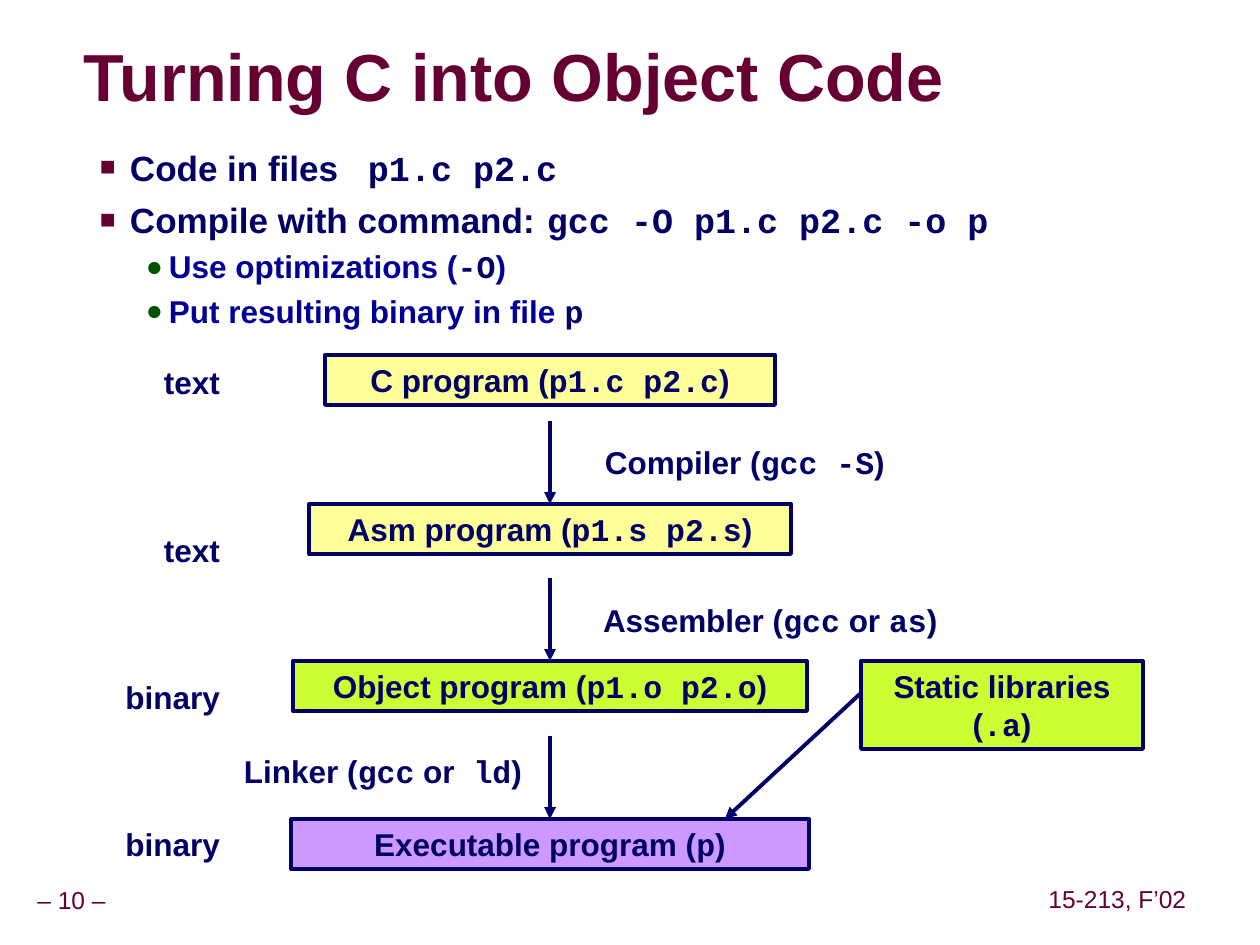
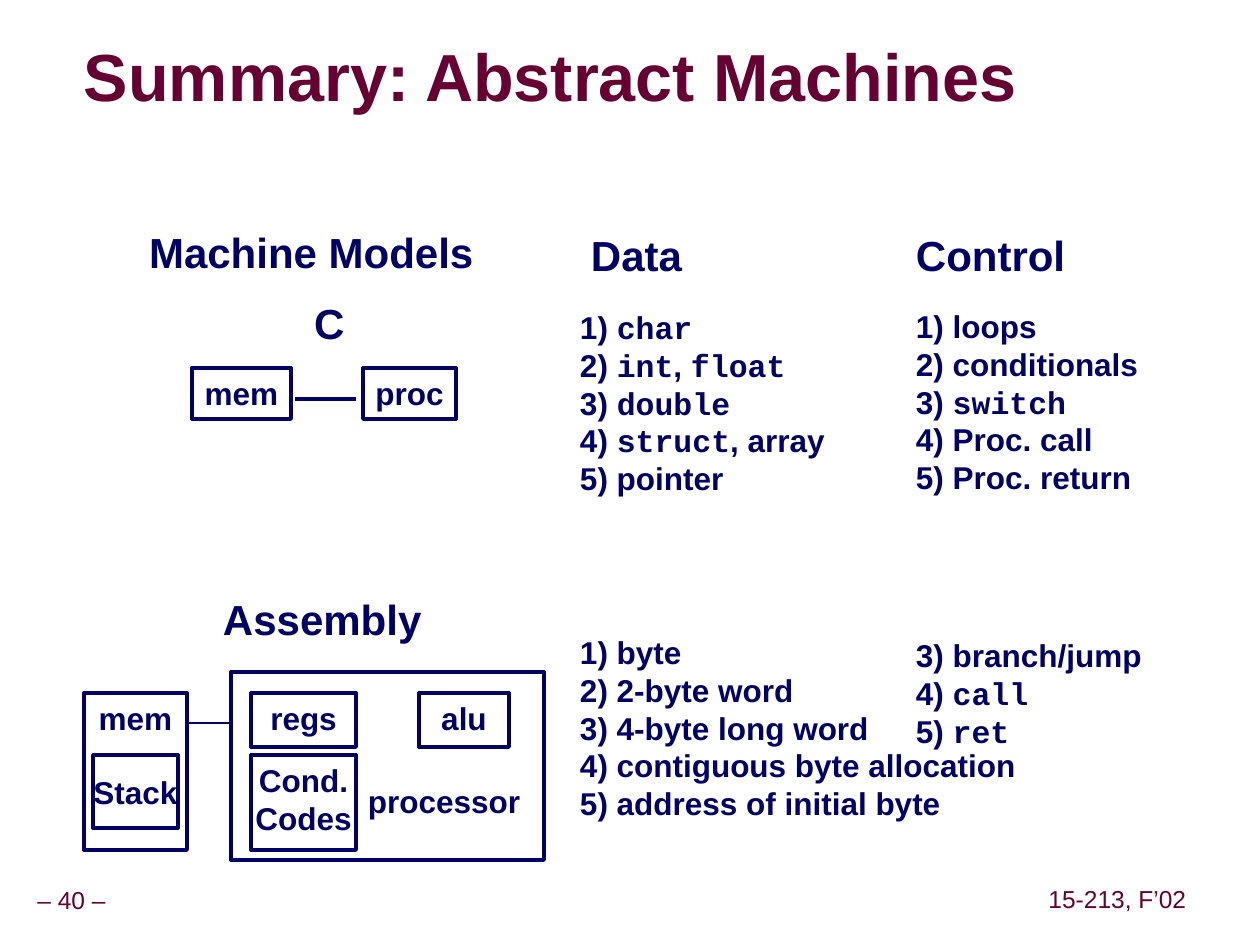
import pptx
import pptx.dml.color
import pptx.enum.shapes
import pptx.enum.text
import pptx.oxml
import pptx.oxml.ns
import pptx.util
from lxml import etree

PX = 914400 / 126  # EMU in one px
COLORS = {
    "maroon": "660033", "navy": "000066", "blue": "000099", "green": "005400",
    "yellow": "FFFF99", "lime": "CCFF33", "violet": "CC99FF", "white": "FFFFFF",
}
SANS, MONO = "Arial", "Courier New"
ALIGN = pptx.enum.text.PP_ALIGN
ANCHOR = pptx.enum.text.MSO_ANCHOR
TITLE_ONLY, TITLE_AND_BODY = 5, 1

# Bullet levels: text format and marker
LEVELS = {
    1: dict(size=20, color="navy", before=6.2, spacing=1.0, left=77, hang=30,
            mark="■", mark_color="maroon", mark_size=75),
    2: dict(size=18, color="blue", before=2.2, spacing=1.07, left=116, hang=23,
            mark="●", mark_color="green", mark_size=90),
}
BODY_TABS = (315, 494)


def emu(px):
    return pptx.util.Emu(round(px * PX))


def rgb(name):
    return pptx.dml.color.RGBColor.from_string(COLORS[name])


def add_xml(parent, tag, **attributes):
    return etree.SubElement(parent, pptx.oxml.ns.qn(tag), attributes)


def write(paragraph, text, size=18, color="navy", bold=True, align=ALIGN.LEFT,
          spacing=1.0, before=0):
    """Fill a paragraph; parts between backticks are set as code."""
    paragraph.alignment = align
    paragraph.line_spacing = spacing
    paragraph.space_before = pptx.util.Pt(before)
    for index, part in enumerate(text.split("`")):
        if part:
            is_code = index % 2 == 1
            run = paragraph.add_run()
            run.text = part
            run.font.size = pptx.util.Pt(size)
            run.font.bold = bold
            run.font.color.rgb = rgb("navy" if is_code else color)
            run.font.name = MONO if is_code else SANS


class Deck:
    def __init__(self):
        self.presentation = pptx.Presentation()
        self.presentation.slide_width = emu(1260)
        self.presentation.slide_height = emu(945)
        self.slide = None

    def new_slide(self, layout, title, title_width, number):
        layouts = self.presentation.slide_layouts
        self.slide = self.presentation.slides.add_slide(layouts[layout])
        self.title(title, title_width)
        self.text(f"– {number} –", 0, 882, 143, 39, size=14, color="maroon",
                  bold=False, align=ALIGN.CENTER, spacing=0.9, anchor=ANCHOR.MIDDLE)
        self.text("15-213, F’02", 1042, 881, 151, 39, size=14, color="maroon",
                  bold=False, align=ALIGN.CENTER, spacing=0.9, anchor=ANCHOR.MIDDLE,
                  wrap=False)

    def place(self, shape, left, top, width, height):
        shape.left, shape.top = emu(left), emu(top)
        shape.width, shape.height = emu(width), emu(height)

    def frame(self, shape, inset_x=13, inset_y=6, anchor=ANCHOR.TOP, wrap=True):
        frame = shape.text_frame
        frame.auto_size = pptx.enum.text.MSO_AUTO_SIZE.NONE
        frame.word_wrap = wrap
        frame.vertical_anchor = anchor
        frame.margin_left = frame.margin_right = emu(inset_x)
        frame.margin_top = frame.margin_bottom = emu(inset_y)
        return frame

    def fill_frame(self, frame, text, **style):
        for index, line in enumerate(text.split("\n")):
            write(frame.add_paragraph() if index else frame.paragraphs[0], line, **style)

    def title(self, text, width):
        heading = self.slide.shapes.title
        self.place(heading, 84, 41, width, 79)
        frame = self.frame(heading, 0, 0, ANCHOR.MIDDLE)
        write(frame.paragraphs[0], text, size=38, color="maroon", spacing=0.87)
        # Soft grey text shadow, placed right after the text fill
        properties = frame.paragraphs[0].runs[0].font.fill
        run_format = frame.paragraphs[0].runs[0]._r.get_or_add_rPr()
        effects = etree.Element(pptx.oxml.ns.qn("a:effectLst"))
        shadow = add_xml(effects, "a:outerShdw", dist="38100", dir="2700000")
        add_xml(shadow, "a:srgbClr", val="969696")
        run_format.find(pptx.oxml.ns.qn("a:solidFill")).addnext(effects)

    def bullets(self, items, left, top, width, height):
        body = self.slide.placeholders[1]
        self.place(body, left, top, width, height)
        frame = self.frame(body)
        for index, (level, text) in enumerate(items):
            look = LEVELS[level]
            paragraph = frame.add_paragraph() if index else frame.paragraphs[0]
            paragraph.level = level
            write(paragraph, text, size=look["size"], color=look["color"],
                  spacing=look["spacing"], before=look["before"] if index else 0)
            layout = paragraph._p.get_or_add_pPr()
            layout.set("marL", str(emu(look["left"])))
            layout.set("indent", str(-emu(look["hang"])))
            mark_color = add_xml(layout, "a:buClr")
            add_xml(mark_color, "a:srgbClr", val=COLORS[look["mark_color"]])
            add_xml(layout, "a:buSzPct", val=str(look["mark_size"] * 1000))
            add_xml(layout, "a:buFont", typeface=SANS)
            add_xml(layout, "a:buChar", char=look["mark"])
            tabs = add_xml(layout, "a:tabLst")
            for tab in BODY_TABS:
                add_xml(tabs, "a:tab", pos=str(emu(tab)), algn="l")

    def text(self, text, left, top, width, height, anchor=ANCHOR.TOP, wrap=True, **style):
        label = self.slide.shapes.add_textbox(emu(left), emu(top), emu(width), emu(height))
        self.fill_frame(self.frame(label, anchor=anchor, wrap=wrap), text, **style)

    def box(self, text, left, top, width, height, fill=None, weight=2.25,
            anchor=ANCHOR.TOP, wrap=False):
        box = self.slide.shapes.add_shape(
            pptx.enum.shapes.MSO_SHAPE.RECTANGLE,
            emu(left), emu(top), emu(width), emu(height))
        box.shadow.inherit = False
        if fill:
            box.fill.solid()
            box.fill.fore_color.rgb = rgb(fill)
        else:
            box.fill.background()
        box.line.color.rgb = rgb("navy")
        box.line.width = pptx.util.Pt(weight)
        if text:
            self.fill_frame(self.frame(box, anchor=anchor, wrap=wrap), text,
                            align=ALIGN.CENTER)
        return box

    def line(self, start, end, weight=2.25, arrow=False, target=None):
        line = self.slide.shapes.add_connector(
            pptx.enum.shapes.MSO_CONNECTOR.STRAIGHT, *map(emu, start + end))
        line.line.color.rgb = rgb("navy")
        line.line.width = pptx.util.Pt(weight)
        if arrow:
            add_xml(line.line._get_or_add_ln(), "a:tailEnd", type="triangle")
        add_xml(line._element.spPr, "a:effectLst")
        if target is not None:
            line.end_connect(target, 0)


def build_object_code(deck):
    deck.new_slide(TITLE_AND_BODY, "Turning C into Object Code", 964, 10)
    deck.bullets([
        (1, "Code in files \t`p1.c p2.c`"),
        (1, "Compile with command: \t`gcc -O p1.c p2.c -o p`"),
        (2, "Use optimizations (`-O`)"),
        (2, "Put resulting binary in file `p`"),
    ], 40, 140, 1145, 202)

    # Kind of file at each stage
    for kind, top in (("text", 357), ("text", 525), ("binary", 672), ("binary", 819)):
        deck.text(kind, 95, top, 138, 50, align=ALIGN.RIGHT)

    # Stages, centred on one axis, each reached by an arrow from above
    axis = 550
    stages = [
        ("C program (`p1.c p2.c`)", 355, 450, "yellow"),
        ("Asm program (`p1.s p2.s`)", 504, 482, "yellow"),
        ("Object program (`p1.o p2.o`)", 661, 514, "lime"),
        ("Executable program (`p`)", 819, 518, "violet"),
    ]
    for index, (stage, top, width, fill) in enumerate(stages):
        stage_box = deck.box(stage, axis - width // 2, top, width, 50, fill)
        if index:
            deck.line((axis, top - 83), (axis, top), arrow=True, target=stage_box)

    # Tools
    deck.text("Compiler (`gcc -S`)", 592, 437, 345, 50)
    deck.text("Assembler (`gcc` or `as`)", 590, 595, 420, 50)
    deck.text("Linker (`gcc` or` ld`)", 231, 746, 364, 50)

    # Libraries joining at link time
    deck.box("Static libraries (`.a`)", 861, 661, 282, 88, "lime", wrap=True)
    deck.line((861, 693), (725, 819), arrow=True)


def build_abstract_machines(deck):
    deck.new_slide(TITLE_ONLY, "Summary: Abstract Machines", 998, 40)

    # Headings
    for heading, left, top, width in (
        ("Machine Models", 136, 221, 349), ("Data", 578, 224, 127),
        ("Control", 903, 224, 186), ("C", 301, 292, 55), ("Assembly", 210, 588, 223),
    ):
        deck.text(heading, left, top, width, 63, wrap=False, size=24)

    # Data and control lists
    c_data = "1) `char`\n2) `int`, `float`\n3) `double`\n4) `struct`, array\n5) pointer"
    c_control = "1) loops\n2) conditionals\n3) `switch`\n4) Proc. call\n5) Proc. return"
    assembly_data = ("1) byte\n2) 2-byte word\n3) 4-byte long word\n"
                     "4) contiguous byte allocation\n5) address of initial byte")
    assembly_control = "3) branch/jump\n4) `call`\n5) `ret`"
    for items, left, top, width, height in (
        (c_data, 567, 302, 270, 202), (c_control, 903, 301, 247, 202),
        (assembly_data, 567, 627, 461, 202), (assembly_control, 903, 630, 251, 126),
    ):
        deck.text(items, left, top, width, height, wrap=False)

    # C machine
    deck.box("mem", 192, 368, 99, 51)
    deck.box("proc", 363, 368, 93, 51)
    deck.line((295, 399), (356, 399))

    # Assembly machine
    deck.box("mem", 84, 693, 103, 157)
    deck.box("Stack", 93, 755, 85, 73, "white", weight=2, anchor=ANCHOR.MIDDLE)
    deck.line((189, 723), (230, 723), weight=1)
    deck.box("", 231, 672, 313, 188)
    deck.box("regs", 251, 693, 105, 54)
    deck.box("alu", 419, 693, 90, 54)
    deck.box("Cond.\nCodes", 251, 755, 105, 95)
    deck.text("processor", 355, 776, 178, 50, wrap=False)


def main():
    deck = Deck()
    build_object_code(deck)
    build_abstract_machines(deck)
    deck.presentation.save("out.pptx")


if __name__ == "__main__":
    main()
